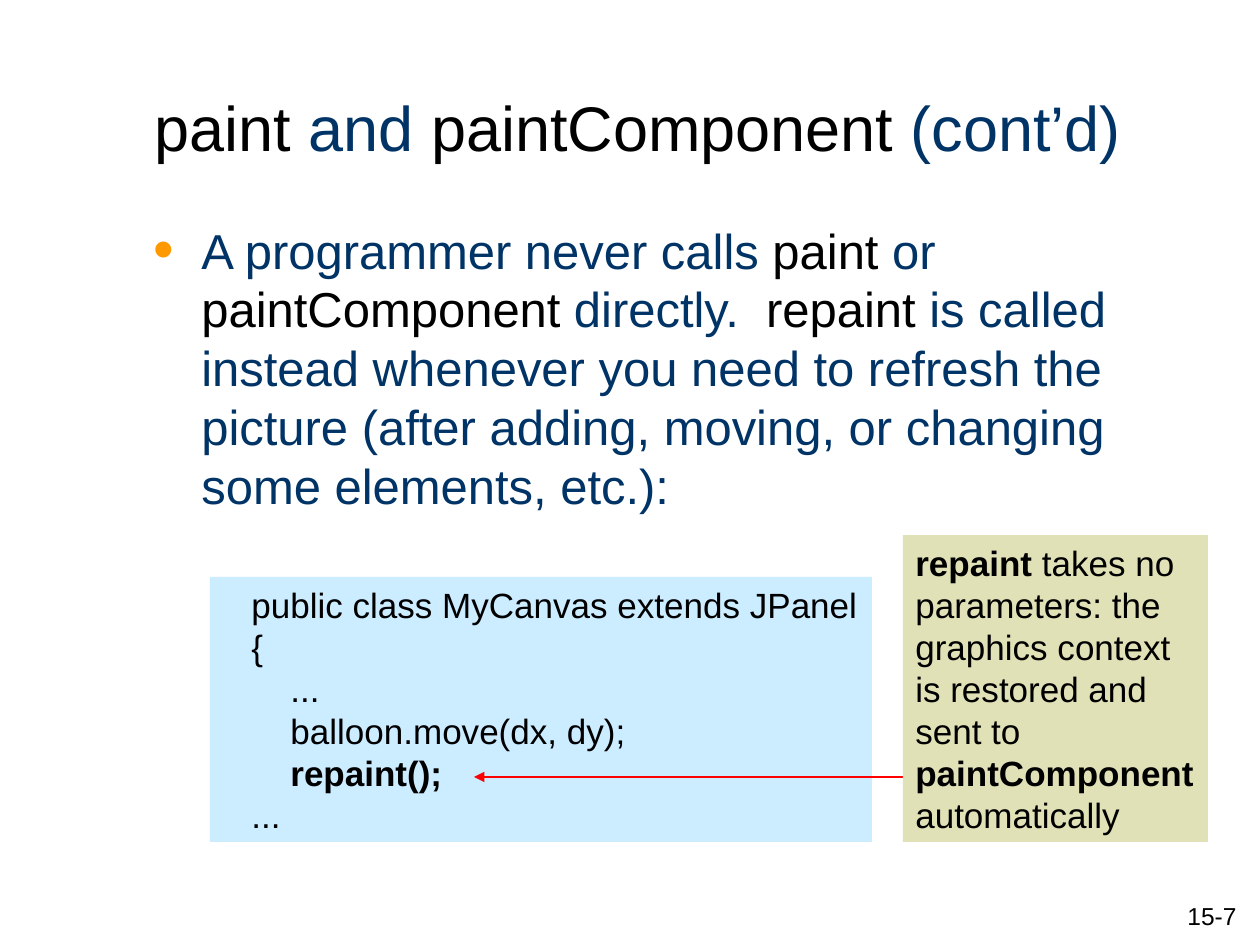
from dataclasses import dataclass

from lxml.etree import SubElement
from pptx import Presentation
from pptx.dml.color import RGBColor
from pptx.enum.shapes import MSO_CONNECTOR, MSO_SHAPE
from pptx.enum.text import MSO_ANCHOR, PP_ALIGN
from pptx.oxml.ns import qn
from pptx.util import Emu, Pt

SCALE = 914400 / 126
BLACK = RGBColor(0x00, 0x00, 0x00)
NAVY = RGBColor(0x00, 0x33, 0x66)
ORANGE = RGBColor(0xFF, 0x99, 0x00)
SKY = RGBColor(0xCC, 0xEC, 0xFF)
SAND = RGBColor(0xE1, 0xE1, 0xB7)
RED = RGBColor(0xFF, 0x00, 0x00)


def px(n: int) -> Emu:
    return Emu(round(n * SCALE))


@dataclass(frozen=True)
class Run:
    text: str
    color: RGBColor = BLACK
    bold: bool = False


@dataclass(frozen=True)
class Para:
    runs: tuple[Run, ...]
    margin: int = 0
    bullet: RGBColor | None = None


@dataclass(frozen=True)
class Box:
    left: int
    top: int
    width: int
    height: int
    size: int
    paras: tuple[Para, ...]
    fill: RGBColor | None = None
    anchor: MSO_ANCHOR = MSO_ANCHOR.TOP
    align: PP_ALIGN = PP_ALIGN.LEFT


def add_bullet(p, margin: int, color: RGBColor) -> None:
    pPr = p._p.get_or_add_pPr()
    pPr.set("indent", str(-px(margin)))
    clr = SubElement(pPr, qn("a:buClr"))
    SubElement(clr, qn("a:srgbClr"), val=str(color))
    SubElement(pPr, qn("a:buSzPct"), val="120000")
    SubElement(pPr, qn("a:buFont"), typeface="Arial")
    SubElement(pPr, qn("a:buChar"), char="•")


def add_box(s, box: Box) -> None:
    area = [px(n) for n in (box.left, box.top, box.width, box.height)]
    if box.fill is None:
        sp = s.shapes.add_textbox(*area)
    else:
        sp = s.shapes.add_shape(MSO_SHAPE.RECTANGLE, *area)
        sp.shadow.inherit = False
        sp.fill.solid()
        sp.fill.fore_color.rgb = box.fill
        sp.line.fill.background()
    tf = sp.text_frame
    tf.word_wrap = True
    tf.vertical_anchor = box.anchor
    for i, para in enumerate(box.paras):
        p = tf.add_paragraph() if i else tf.paragraphs[0]
        p.alignment = box.align
        p.line_spacing = Pt(round(box.size * 1.2, 1))
        p._p.get_or_add_pPr().set("marL", str(px(para.margin)))
        if para.bullet is not None:
            add_bullet(p, para.margin, para.bullet)
        for run in para.runs:
            r = p.add_run()
            r.text = run.text
            font_format = {"name": "Arial", "size": Pt(box.size), "bold": run.bold}
            for key, value in font_format.items():
                setattr(r.font, key, value)
            r.font.color.rgb = run.color


def add_arrow(s, x1: int, x2: int, y: int) -> None:
    line = s.shapes.add_connector(MSO_CONNECTOR.STRAIGHT, px(x1), px(y), px(x2), px(y))
    line.line.color.rgb = RED
    line.line.width = Pt(0.75)
    SubElement(line.line._get_or_add_ln(), qn("a:tailEnd"), type="triangle")
    SubElement(line._element.spPr, qn("a:effectLst"))


def code(text: str, margin: int, bold: bool = False) -> Para:
    return Para((Run(text, bold=bold),), margin)


OUTER, INNER = 29, 68

PAGE_NUMBER = Box(987, 895, 262, 63, 14, (Para((Run("15-7"),)),), align=PP_ALIGN.RIGHT)
TITLE = Box(142, 67, 1071, 118, 36, (Para((
    Run("paint"), Run(" and ", NAVY), Run("paintComponent"), Run(" (cont’d)", NAVY),
)),), anchor=MSO_ANCHOR.MIDDLE)
BODY = Box(141, 214, 1071, 662, 28, (Para((
    Run("A programmer never calls ", NAVY),
    Run("paint"),
    Run(" or ", NAVY),
    Run("paintComponent"),
    Run(" directly.  ", NAVY),
    Run("repaint"),
    Run(" is called instead whenever you need to refresh the picture "
        "(after adding, moving, or changing some elements, etc.):", NAVY),
), 48, ORANGE),))
CODE = Box(210, 577, 662, 265, 20, (
    code("public class MyCanvas extends JPanel", OUTER),
    code("{", OUTER),
    code("...", INNER),
    code("balloon.move(dx, dy);", INNER),
    code("repaint();", INNER, True),
    code("...", OUTER),
), SKY)
CALLOUT = Box(903, 535, 305, 307, 20, (Para((
    Run("repaint", bold=True),
    Run(" takes no parameters: the graphics context is restored and sent to "),
    Run("paintComponent", bold=True),
    Run(" automatically"),
)),), SAND)

prs = Presentation()
prs.slide_width, prs.slide_height = px(1260), px(945)
s = prs.slides.add_slide(prs.slide_layouts[6])
for box in (PAGE_NUMBER, TITLE, BODY, CODE):
    add_box(s, box)
add_arrow(s, 940, 474, 777)
add_box(s, CALLOUT)
prs.save("out.pptx")
